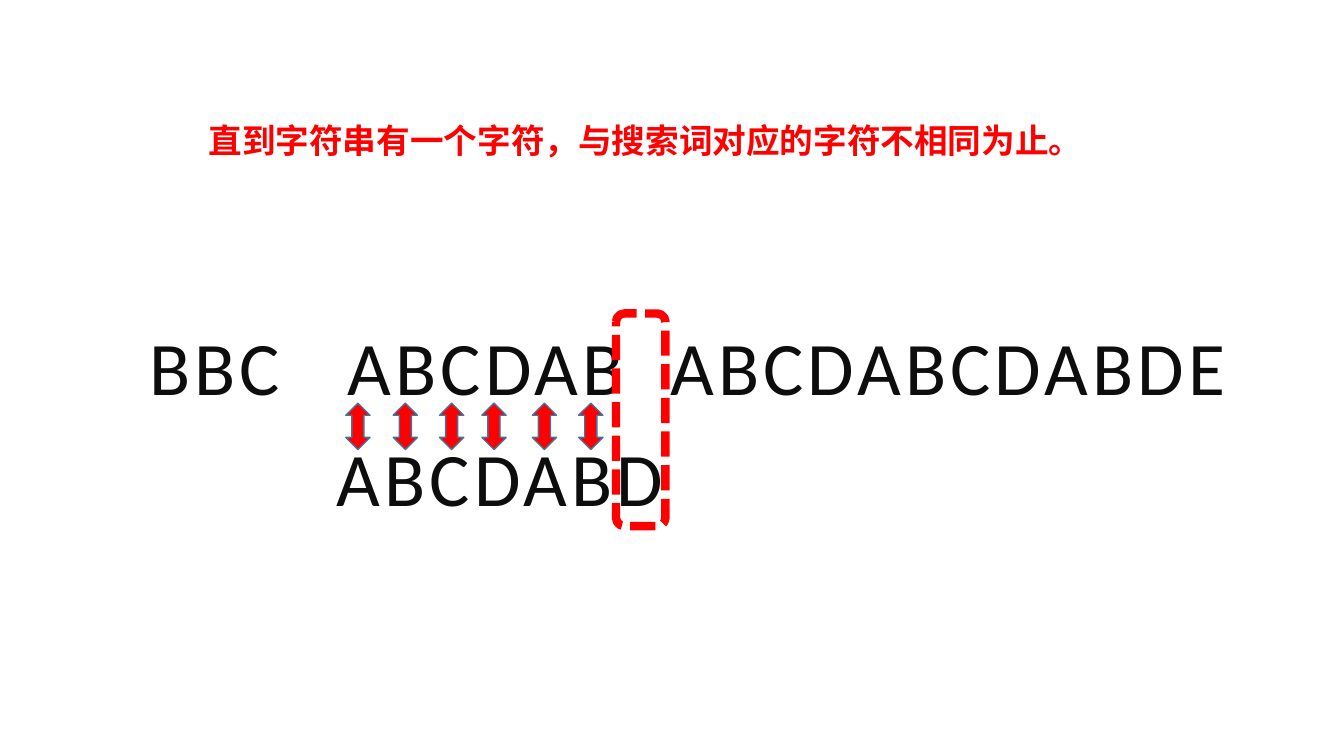
from pptx import Presentation
from pptx.dml.color import RGBColor
from pptx.enum.dml import MSO_LINE
from pptx.enum.shapes import MSO_SHAPE
from pptx.util import Inches, Pt

ARROW = MSO_SHAPE.UP_DOWN_ARROW
FRAME = MSO_SHAPE.ROUNDED_RECTANGLE
DASH = MSO_LINE.SQUARE_DOT
RED = RGBColor(0xFF, 0x00, 0x00)
INK = RGBColor(0x0D, 0x0D, 0x0D)
BLUE = RGBColor(0x43, 0x73, 0x9E)
FONT = "Calibri"


def add_text(slide, box, text, size, color, bold=False):
    frame = slide.shapes.add_textbox(*map(Inches, box)).text_frame
    frame.word_wrap = True
    run = frame.paragraphs[0].add_run()
    run.text = text
    run.font.name = FONT
    run.font.size = Pt(size)
    run.font.bold = bold
    run.font.color.rgb = color
    return run


def add_shape(slide, kind, box, color, width):
    shape = slide.shapes.add_shape(kind, *map(Inches, box))
    shape.shadow.inherit = False
    shape.line.color.rgb = color
    shape.line.width = Pt(width)
    return shape


def add_title(slide, box):
    add_text(slide, box, "直到字符串有一个字符，与搜索词对应的字符不相同为止。", 24, RED, True)


def add_row(slide, box, text):
    run = add_text(slide, box, text, 54, INK)
    run.font._element.set("spc", "300")


def add_frame(slide, box):
    shape = add_shape(slide, FRAME, box, RED, 6)
    shape.fill.background()
    shape.line.dash_style = DASH


def add_arrows(slide, box):
    left, top, width, height = box
    for step in (0, 0.47, 0.93, 1.35, 1.85, 2.31):
        shape = add_shape(slide, ARROW, (left + step, top, width, height), BLUE, 1)
        shape.fill.solid()
        shape.fill.fore_color.rgb = RED


def add_match(slide, box):
    left, top, width, height = box
    add_row(slide, (left, top, width, 1.01), "BBC   ABCDAB  ABCDABCDABDE")
    add_row(slide, (left + 1.86, top + 1.11, 3.49, 1.01), "ABCDABD")
    add_frame(slide, (left + 4.73, top - 0.01, 0.49, height))
    add_arrows(slide, (left + 2.05, top + 0.88, 0.24, 0.46))


def main():
    deck = Presentation()
    deck.slide_width = Inches(13.33)
    deck.slide_height = Inches(7.5)
    slide = deck.slides.add_slide(deck.slide_layouts[6])
    add_match(slide, (1.38, 3.12, 11.28, 2.11))
    add_title(slide, (1.97, 1.14, 10.92, 0.5))
    deck.save("out.pptx")


if __name__ == "__main__":
    main()
